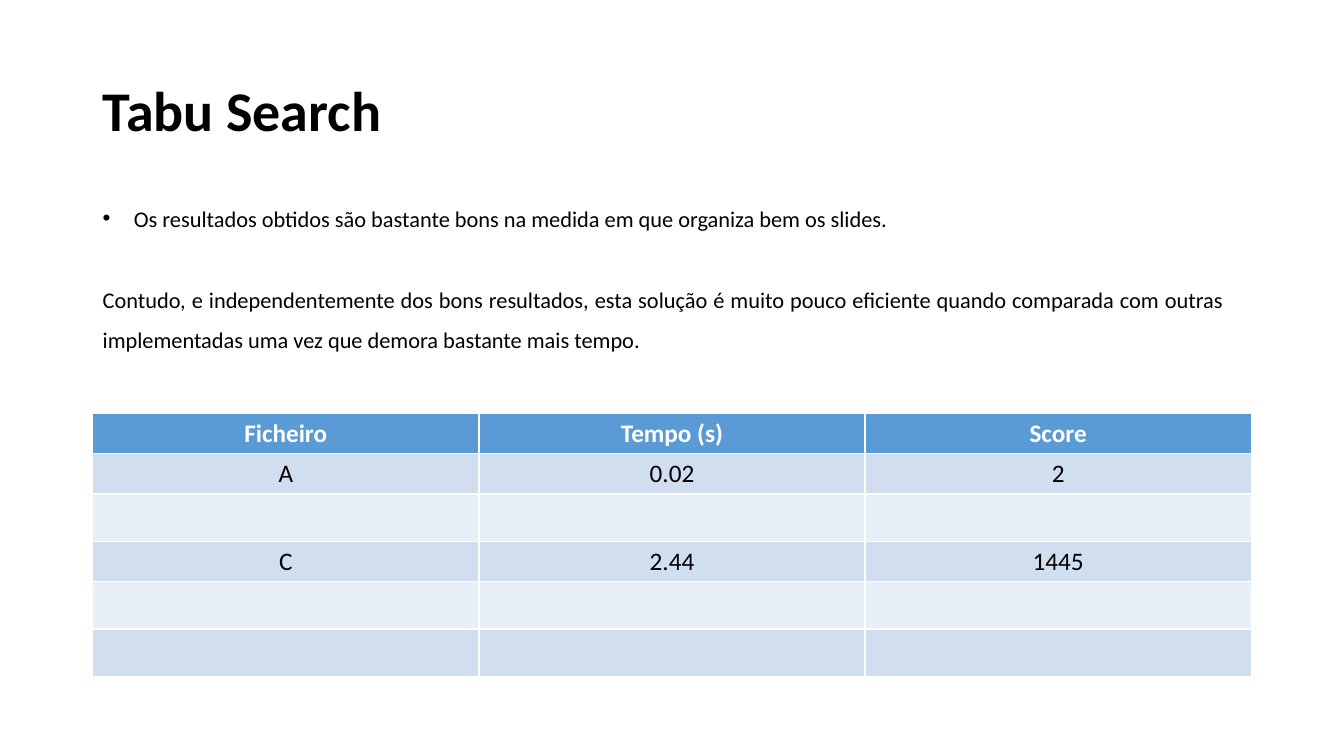
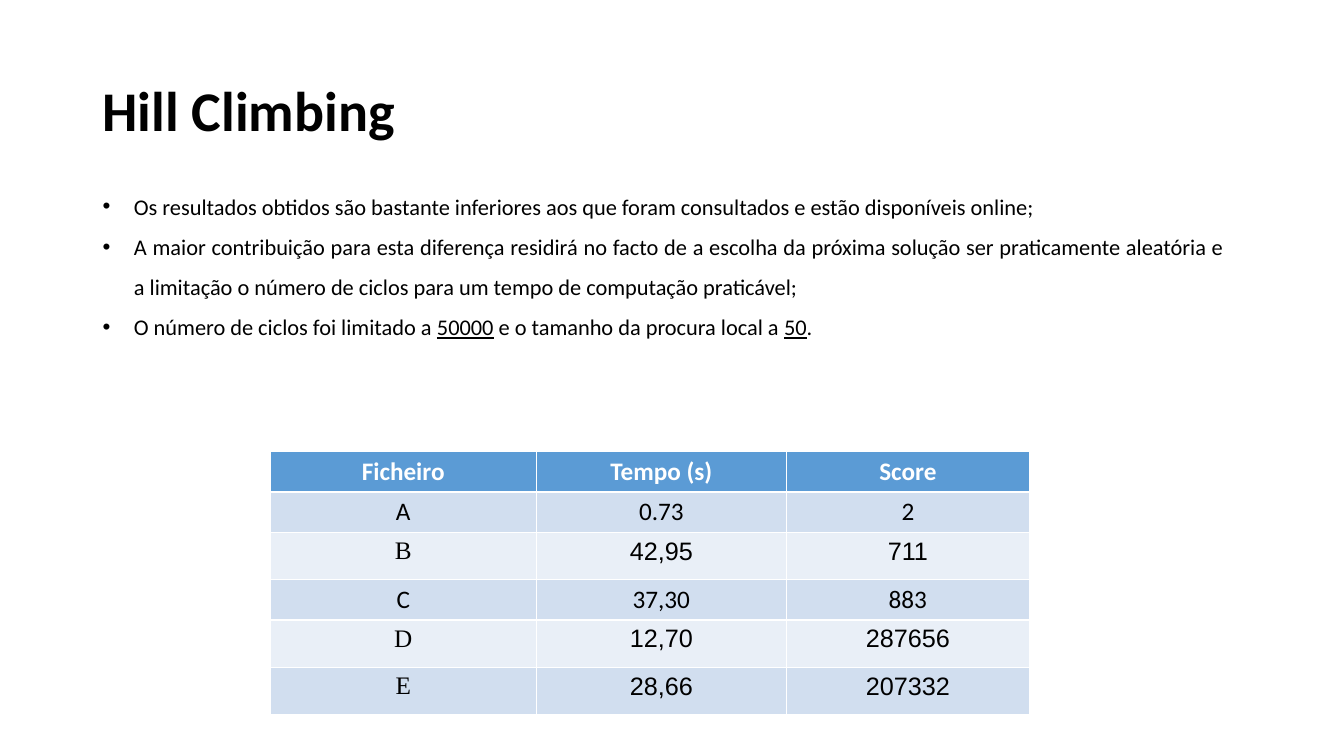
from pptx import Presentation
from pptx.dml.color import RGBColor
from pptx.enum.text import MSO_ANCHOR as Anchor, PP_ALIGN as Align
from pptx.oxml.ns import qn
from pptx.util import Inches, Pt
from lxml.etree import SubElement

# Shared look
BLACK = RGBColor(0x00, 0x00, 0x00)
WHITE = RGBColor(0xFF, 0xFF, 0xFF)
HEAD = RGBColor(0x5B, 0x9B, 0xD5)
BANDS = [RGBColor(0xE9, 0xEF, 0xF7), RGBColor(0xD1, 0xDE, 0xEF)]
SANS, ARIAL, TIMES = "Calibri", "Arial", "Times New Roman"
LEFT = 0.92
TITLE = {"size": Pt(40), "name": SANS, "bold": True}
BODY = {"size": Pt(16), "name": SANS}
LABEL = {"size": Pt(18), "name": SANS, "bold": True}
VALUE = {"size": Pt(18), "name": SANS, "bold": False}
COLS = ["Ficheiro", "Tempo (s)", "Score"]
ROWS = [0.4, 0.4, 0.47, 0.4, 0.47, 0.47]

# Body lines: (has bullet, space before, runs); odd runs are underlined
PAGES = [
    {
        "title": "Tabu Search",
        "body": (1.85, 2.0),
        "lines": [
            (True, 0, ["Os resultados obtidos são bastante bons na medida "
                       "em que organiza bem os slides."]),
            (False, 29, ["Contudo, e independentemente dos bons resultados, "
                         "esta solução é muito pouco eficiente quando "
                         "comparada com outras implementadas uma vez que "
                         "demora bastante mais tempo."]),
        ],
        "spot": (LEFT, 4.1),
        "wide": [3.83] * 3,
        "data": [["A", "0.02", "2"], [""] * 3, ["C", "2.44", "1445"],
                 [""] * 3, [""] * 3],
        "serif": "",
    },
    {
        "title": "Hill Climbing",
        "body": (1.73, 2.79),
        "lines": [
            (True, 0, ["Os resultados obtidos são bastante inferiores aos "
                       "que foram consultados e estão disponíveis online;"]),
            (True, 0, ["A maior contribuição para esta diferença residirá "
                       "no facto de a escolha da próxima solução ser "
                       "praticamente aleatória e a limitação o número de "
                       "ciclos para um tempo de computação praticável;"]),
            (True, 0, ["O número de ciclos foi limitado a ", "50000",
                       " e o tamanho da procura local a ", "50", "."]),
        ],
        "spot": (2.68, 4.48),
        "wide": [2.64, 2.48, 2.41],
        "data": [["A", "0.73", "2"], ["B", "42,95", "711"],
                 ["C", "37,30", "883"], ["D", "12,70", "287656"],
                 ["E", "28,66", "207332"]],
        "serif": "BDE",
    },
]


def add_run(para, text, form, color=BLACK):
    run = para.add_run()
    run.text = text
    for key, val in form.items():
        setattr(run.font, key, val)
    run.font.color.rgb = color


def add_box(slide, left, top, width, height):
    box = slide.shapes.add_textbox(*map(Inches, (left, top, width, height)))
    box.text_frame.word_wrap = True
    return box.text_frame


deck = Presentation()
deck.slide_width, deck.slide_height = Inches(13.33), Inches(7.5)

for page in PAGES:
    slide = deck.slides.add_slide(deck.slide_layouts[6])

    # Title
    frame = add_box(slide, LEFT, 0.4, 11.5, 1.45)
    frame.vertical_anchor = Anchor.MIDDLE
    para = frame.paragraphs[0]
    para.line_spacing = 0.9
    add_run(para, page["title"], TITLE)

    # Table
    data = [COLS] + page["data"]
    wide = page["wide"]
    x, y = page["spot"]
    grid = slide.shapes.add_table(
        len(data), len(COLS), Inches(x), Inches(y),
        Inches(sum(wide)), Inches(sum(ROWS))).table
    for col, width in zip(grid.columns, wide):
        col.width = Inches(width)
    for r, (row, tall) in enumerate(zip(data, ROWS)):
        grid.rows[r].height = Inches(tall)
        for c, text in enumerate(row):
            cell = grid.cell(r, c)
            cell.fill.solid()
            cell.fill.fore_color.rgb = BANDS[r % 2] if r else HEAD
            para = cell.text_frame.paragraphs[0]
            para.alignment = Align.CENTER
            form = dict(VALUE if r else LABEL)
            if row[0] and row[0] in page["serif"]:
                form["name"] = ARIAL if c else TIMES
            if text:
                add_run(para, text, form, BLACK if r else WHITE)

    # Body text
    top, tall = page["body"]
    frame = add_box(slide, LEFT, top, 11.32, tall)
    for i, (dot, gap, runs) in enumerate(page["lines"]):
        para = frame.add_paragraph() if i else frame.paragraphs[0]
        para.alignment = Align.JUSTIFY
        para.line_spacing = 1.5
        para.space_before = Pt(gap)
        if dot:
            props = para._p.get_or_add_pPr()
            props.set("marL", str(Inches(0.31)))
            props.set("indent", str(-Inches(0.31)))
            SubElement(props, qn("a:buFont")).set("typeface", ARIAL)
            SubElement(props, qn("a:buChar")).set("char", "•")
        for n, text in enumerate(runs):
            add_run(para, text, {**BODY, "underline": n % 2 == 1})

deck.save("out.pptx")
